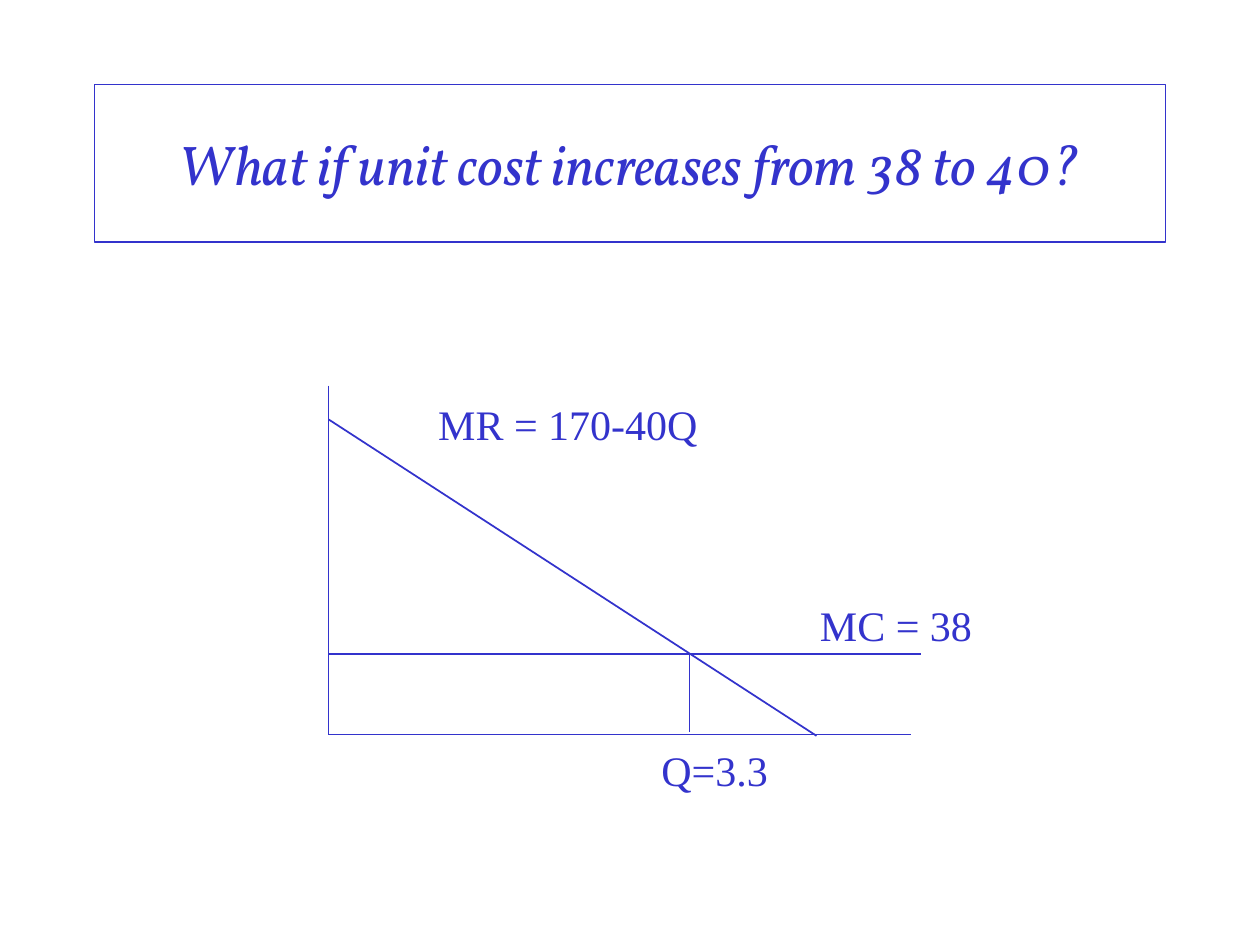
from pptx import Presentation
from pptx.dml.color import RGBColor
from pptx.enum.shapes import MSO_CONNECTOR
from pptx.enum.text import MSO_ANCHOR, PP_ALIGN
from pptx.oxml.ns import qn
from pptx.util import Inches, Pt

BLUE = RGBColor(0x33, 0x33, 0xCC)
STRAIGHT = MSO_CONNECTOR.STRAIGHT
CENTER = PP_ALIGN.CENTER
MIDDLE = MSO_ANCHOR.MIDDLE

# Origin of the graph and height of the cost line
LEFT, BASE, COST = 2.61, 5.83, 5.19


def add_text(slide, text, x, y, w, h, size=24, font="Times New Roman"):
    box = slide.shapes.add_textbox(Inches(x), Inches(y), Inches(w), Inches(h))
    frame = box.text_frame
    frame.word_wrap = True
    para = frame.paragraphs[0]
    para.text = text
    para.font.name = font
    para.font.size = Pt(size)
    para.font.color.rgb = BLUE
    return box


def add_title(slide, text):
    box = add_text(slide, text, 0.75, 0.67, 8.5, 1.25, 32, "Vollkorn")
    box.line.color.rgb = BLUE
    box.line.width = Pt(0.75)
    box.text_frame.vertical_anchor = MIDDLE
    para = box.text_frame.paragraphs[0]
    para.alignment = CENTER
    para.font.italic = True


def add_line(slide, x1, y1, x2, y2, width=0.75):
    line = slide.shapes.add_connector(
        STRAIGHT, Inches(x1), Inches(y1), Inches(x2), Inches(y2))
    line.line.color.rgb = BLUE
    line.line.width = Pt(width)
    props = line._element.spPr
    props.append(props.makeelement(qn("a:effectLst"), {}))


def main():
    deck = Presentation()
    deck.slide_width, deck.slide_height = Inches(10), Inches(7.5)
    slide = deck.slides.add_slide(deck.slide_layouts[6])

    add_title(slide, "What if unit cost increases from 38 to 40?")

    # Axes
    add_line(slide, LEFT, 3.06, LEFT, BASE)
    add_line(slide, LEFT, BASE, 7.23, BASE)

    # Marginal cost, marginal revenue and the drop to the quantity
    add_line(slide, LEFT, COST, 7.31, COST)
    add_line(slide, LEFT, 3.33, 6.48, 5.84, 1)
    add_line(slide, 5.47, COST, 5.47, 5.81)

    # Labels
    add_text(slide, "MR = 170-40Q", 3.38, 3.11, 4.2, 0.63)
    add_text(slide, "MC = 38", 6.41, 4.71, 1.93, 0.54)
    add_text(slide, "Q=3.3", 5.15, 5.86, 2.01, 0.72)

    deck.save("out.pptx")


if __name__ == "__main__":
    main()
